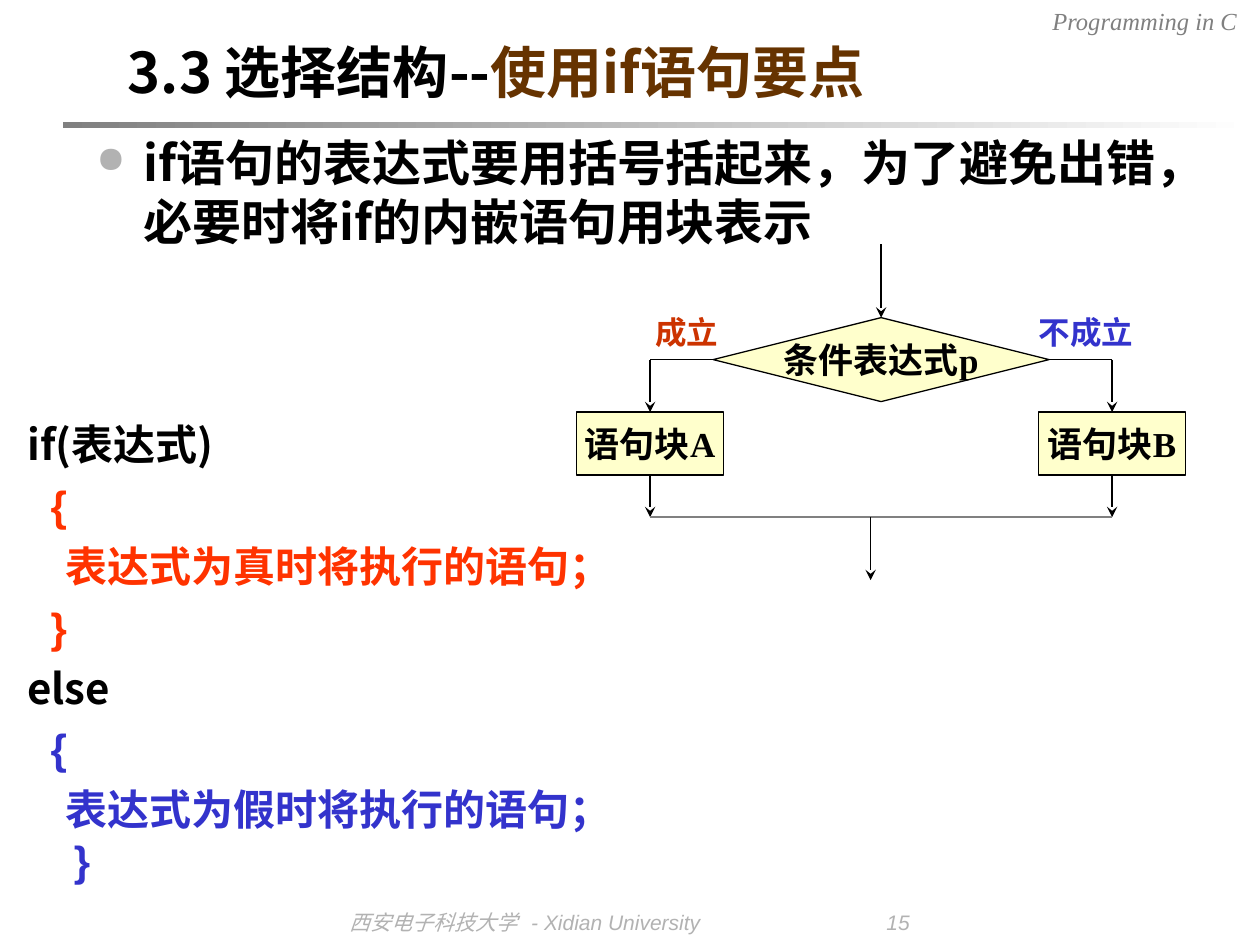
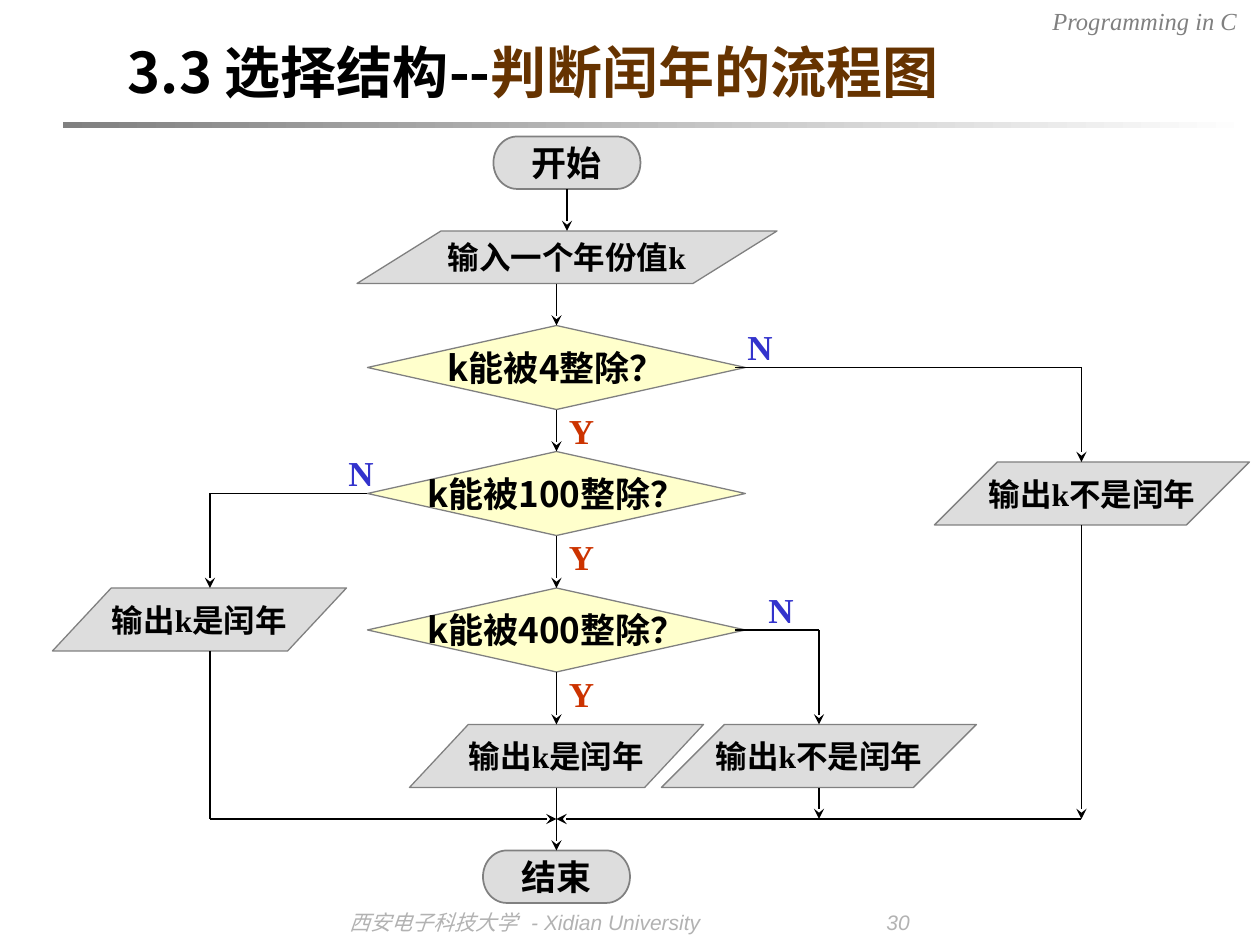
from pptx import Presentation
from pptx.dml.color import RGBColor as RGB
from pptx.enum.shapes import MSO_CONNECTOR as CXN, MSO_SHAPE as SHAPE
from pptx.enum.text import MSO_ANCHOR as ANCHOR, PP_ALIGN as ALIGN
from pptx.oxml.ns import qn
from pptx.util import Pt
from lxml.etree import SubElement

C = {
    "black": "000000", "white": "FFFFFF", "gray": "808080", "silver": "B2B2B2",
    "step": "DDDDDD", "test": "FFFFCC", "brown": "663300", "yes": "CC3300",
    "no": "3333CC", "red": "FF3300",
}
SANS, SERIF, ARIAL = "Noto Sans CJK SC", "Times New Roman", "Arial"
TOP, LEFT, BOTTOM = 0, 1, 2
TITLE = {"name": SANS, "size": Pt(32), "bold": True}
BULLET = {"name": SANS, "size": Pt(28), "bold": True}
CODE = {"name": SANS, "size": Pt(24), "bold": True}
BRACE = {**CODE, "name": ARIAL}
NODE = {"name": SERIF, "size": Pt(20), "bold": True}
TEST = {**NODE, "name": SANS}
SMALL = {**NODE, "size": Pt(18)}
HEADER = {"name": SERIF, "size": Pt(14), "italic": True}
FOOTER = {"name": SERIF, "size": Pt(12), "italic": True}
MARGINS = {"margin_left": Pt(7.2), "margin_right": Pt(7.2),
           "margin_top": Pt(3.6), "margin_bottom": Pt(3.6)}
FRAME = {**MARGINS, "word_wrap": True, "vertical_anchor": ANCHOR.TOP}
CENTERED = {**MARGINS, "word_wrap": False, "vertical_anchor": ANCHOR.MIDDLE}
TIGHT = {**FRAME, "margin_left": 0, "margin_right": 0}


def apply(target, fmt):
    for key, value in fmt.items():
        setattr(target, key, value)


def add_run(p, text, fmt, color="black"):
    r = p.add_run()
    r.text = text
    apply(r.font, fmt)
    r.font.color.rgb = RGB.from_string(C[color])


def add_text(s, box, runs, align=ALIGN.LEFT, frame=FRAME):
    tf = s.shapes.add_textbox(*map(Pt, box)).text_frame
    apply(tf, frame)
    p = tf.paragraphs[0]
    p.alignment = align
    for run in runs:
        add_run(p, *run)
    return tf


def add_node(s, kind, box, text, fmt, fill, line="gray", width=0.75):
    sp = s.shapes.add_shape(kind, *map(Pt, box))
    sp.shadow.inherit = False
    sp.fill.solid()
    sp.fill.fore_color.rgb = RGB.from_string(C[fill])
    sp.line.color.rgb = RGB.from_string(C[line])
    sp.line.width = Pt(width)
    apply(sp.text_frame, CENTERED)
    p = sp.text_frame.paragraphs[0]
    p.alignment = ALIGN.CENTER
    add_run(p, text, fmt)
    return sp


def add_line(s, origin, start, end, arrow=True, color="black"):
    points = []
    for stop in (start, end):
        glued = not isinstance(stop[0], (int, float))
        points += [0, 0] if glued else [Pt(a + b) for a, b in zip(origin, stop)]
    cx = s.shapes.add_connector(CXN.STRAIGHT, *points)
    for stop, connect in ((start, cx.begin_connect), (end, cx.end_connect)):
        if not isinstance(stop[0], (int, float)):
            connect(*stop)
    cx.line.color.rgb = RGB.from_string(C[color])
    cx.line.width = Pt(0.75)
    if arrow:
        SubElement(cx.line._get_or_add_ln(), qn("a:tailEnd"), type="stealth")
    SubElement(cx._element.spPr, qn("a:effectLst"))


def add_base(prs, topic, number):
    s = prs.slides.add_slide(prs.slide_layouts[6])
    add_text(s, (492, 0, 222, 24), [("Programming in C", HEADER, "gray")], ALIGN.RIGHT)
    arial = {**FOOTER, "name": ARIAL}
    tf = add_text(s, (192.5, 516, 360, 24), [
        ("西安电子科技大学", FOOTER, "silver"),
        (f"\t- Xidian University\t{number}", arial, "silver")])
    tabs = SubElement(tf.paragraphs[0]._p.get_or_add_pPr(), qn("a:tabLst"))
    for pos in (104, 307):
        SubElement(tabs, qn("a:tab"), pos=str(Pt(pos)), algn="l")
    band = s.shapes.add_shape(SHAPE.RECTANGLE, Pt(36), Pt(69.8), Pt(680), Pt(3.6))
    band.shadow.inherit = False
    band.line.fill.background()
    band.fill.gradient()
    band.fill.gradient_angle = 0
    for stop, color in zip(band.fill.gradient_stops, ("gray", "white")):
        stop.color.rgb = RGB.from_string(C[color])
    add_text(s, (66, 18, 612, 48), [("3.3 选择结构--", TITLE), (topic, TITLE, "brown")])
    return s


def add_bullet(s, box, text):
    tf = add_text(s, box, [(text, BULLET)])
    pPr = tf.paragraphs[0]._p.get_or_add_pPr()
    pPr.set("marL", str(Pt(27)))
    pPr.set("indent", str(Pt(-27)))
    SubElement(SubElement(pPr, qn("a:buClr")), qn("a:srgbClr"), val=C["silver"])
    SubElement(pPr, qn("a:buSzPct"), val="75000")
    SubElement(pPr, qn("a:buChar"), char="●")


def add_code(s, box):
    lines = [
        ("if(表达式)", CODE, "black"),
        ("  {", BRACE, "red"),
        ("    表达式为真时将执行的语句；", CODE, "red"),
        ("  }", BRACE, "red"),
        ("else", CODE, "black"),
        ("  {", BRACE, "no"),
        ("    表达式为假时将执行的语句；", CODE, "no"),
        ("    }", BRACE, "no"),
    ]
    tf = add_text(s, box, lines[:1])
    for line in lines[1:]:
        p = tf.add_paragraph()
        p.space_before = Pt(6)
        add_run(p, *line)
    p.space_before = Pt(0)
    for p in tf.paragraphs:
        pPr = p._p.get_or_add_pPr()
        pPr.set("marL", str(Pt(27)))
        pPr.set("indent", str(Pt(-27)))


def add_branch_chart(s, box):
    x, y, w, h = box
    origin, mid, merge = (x, y), w / 2, 156
    test = add_node(s, SHAPE.DIAMOND, (x + mid - 96, y + 42, 192, 48),
                    "条件表达式p", NODE, "test", "black")
    sides = (("A", 0, 1, "成立", 42, 42, "yes"),
             ("B", w - 84, 3, "不成立", 258, 66, "no"))
    for name, left, site, label, label_x, label_w, color in sides:
        block = add_node(s, SHAPE.RECTANGLE, (x + left, y + 96, 84, 36),
                         f"语句块{name}", NODE, "test", "black")
        corner = (left + 42, 66)
        add_line(s, origin, (test, site), corner, arrow=False)
        add_line(s, origin, corner, (block, TOP))
        add_line(s, origin, (block, BOTTOM), (left + 42, merge))
        add_text(s, (x + label_x, y + 36, label_w, 29), [(label, SMALL, color)],
                 ALIGN.CENTER, TIGHT)
    add_line(s, origin, (mid, 0), (test, TOP))
    add_line(s, origin, (42, merge), (w - 42, merge), arrow=False, color="gray")
    add_line(s, origin, (mid - 6, merge), (mid - 6, h))


def add_leap_year_chart(s, box):
    x, y, w, h = box
    origin, axis, left, right, inner, merge = (x, y), 288, 90, w - 96, 438, 390

    first, last = [
        add_node(s, SHAPE.FLOWCHART_TERMINATOR, (x + cx - 42, y + top, 84, 30),
                 text, NODE, "step", width=1)
        for text, cx, top in (("开始", axis + 6, 0), ("结束", axis, h - 30))]

    yes, no = "输出k是闰年", "输出k不是闰年"
    for text, cx, top, width, height in (
            ("输入一个年份值k", axis + 6, 54, 240, 30), (no, right + 6, 186, 180, 36),
            (yes, left - 6, 258, 168, 36), (yes, axis, 336, 168, 36),
            (no, inner, 336, 180, 36)):
        add_node(s, SHAPE.FLOWCHART_DATA, (x + cx - width / 2, y + top, width, height),
                 text, SMALL, "step")

    tests = []
    for divisor, top, no_x in ((4, 108, 390), (100, 180, 162), (400, 258, 402)):
        tests.append(add_node(s, SHAPE.FLOWCHART_DECISION,
                              (x + axis - 108, y + top, 216, 48),
                              f"k能被{divisor}整除？", TEST, "test"))
        for text, lx, ly, color in (("Y", axis, top + 48, "yes"), ("N", no_x, top, "no")):
            add_text(s, (x + lx, y + ly, 24, 24), [(text, NODE, color)],
                     ALIGN.CENTER, CENTERED)

    by4, by100, by400 = tests
    for start, end in (
            ((first, BOTTOM), (axis + 6, 54)),
            ((axis, 84), (by4, TOP)),
            ((by4, BOTTOM), (by100, TOP)),
            ((by100, BOTTOM), (by400, TOP)),
            ((by400, BOTTOM), (axis, 336)),
            ((axis, 372), (last, TOP)),
            ((left, 204), (left, 258)),
            ((left, merge), (axis, merge)),
            ((right, 132), (right, 186)),
            ((right, 222), (right, merge)),
            ((right, merge), (axis, merge)),
            ((inner, 282), (inner, 336)),
            ((inner, 372), (inner, merge))):
        add_line(s, origin, start, end)
    for start, end in (
            ((by100, LEFT), (left, 204)),
            ((left, 294), (left, merge)),
            ((390, 132), (right, 132)),
            ((390, 282), (inner, 282))):
        add_line(s, origin, start, end, arrow=False)


def main():
    prs = Presentation()
    prs.slide_width, prs.slide_height = Pt(720), Pt(540)

    s = add_base(prs, "使用if语句要点", 15)
    add_branch_chart(s, (329.5, 139.5, 348, 192))
    add_code(s, (8.5, 235.5, 630, 289.5))
    add_bullet(s, (48, 72, 648, 90),
               "if语句的表达式要用括号括起来，为了避免出错，必要时将if的内嵌语句用块表示")

    s = add_base(prs, "判断闰年的流程图", 30)
    add_leap_year_chart(s, (30, 78, 684, 438))

    prs.save("out.pptx")


if __name__ == "__main__":
    main()
